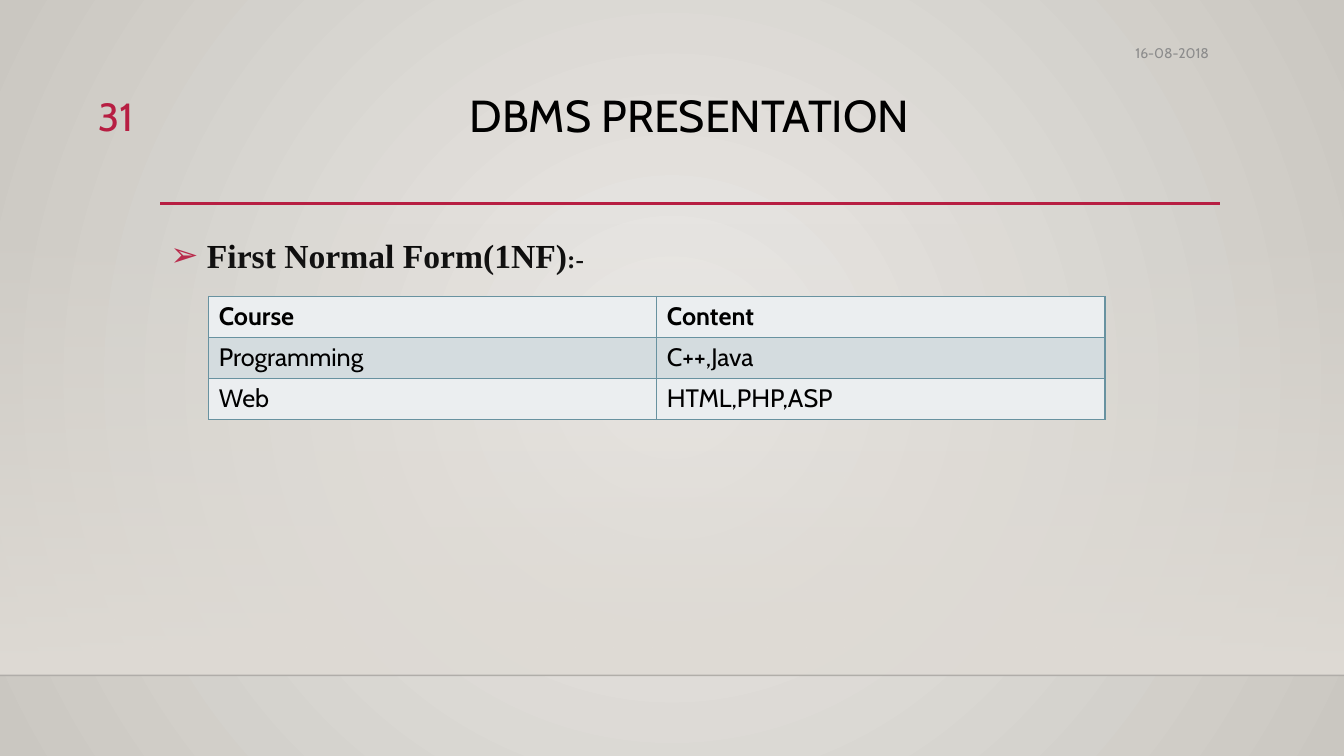
from lxml import etree
from pptx import Presentation
from pptx.dml.color import RGBColor
from pptx.enum.shapes import MSO_CONNECTOR, MSO_SHAPE
from pptx.enum.text import MSO_ANCHOR, MSO_AUTO_SIZE, PP_ALIGN
from pptx.oxml.ns import qn
from pptx.util import Inches, Pt

STRAIGHT = MSO_CONNECTOR.STRAIGHT
RECTANGLE = MSO_SHAPE.RECTANGLE
TOP, MIDDLE = MSO_ANCHOR.TOP, MSO_ANCHOR.MIDDLE
NO_FIT = MSO_AUTO_SIZE.NONE
LEFT, CENTER, RIGHT = PP_ALIGN.LEFT, PP_ALIGN.CENTER, PP_ALIGN.RIGHT

BLACK = RGBColor(0x00, 0x00, 0x00)
FLOOR_EDGE = RGBColor(0x00, 0x00, 0x01)
CRIMSON = RGBColor(0xB7, 0x1E, 0x42)
GRAY = RGBColor(0x8C, 0x8C, 0x8C)
BG_CENTER = RGBColor(0xEC, 0xEA, 0xE7)
BG_EDGE = RGBColor(0xCA, 0xC7, 0xC1)
WALL = RGBColor(0xDF, 0xDB, 0xD5)
BORDER = RGBColor(0x68, 0x92, 0xA0)
ROW_LIGHT = RGBColor(0xEB, 0xEE, 0xF0)
ROW_DARK = RGBColor(0xD4, 0xDC, 0xDF)


def set_gradient(fill, first, last):
    fill.gradient()
    for stop, color in zip(fill.gradient_stops, (first, last)):
        stop.color.rgb = color


def add_run(p, text, size, color, font="Cabin", bold=False):
    r = p.add_run()
    r.text = text
    r.font.size = Pt(size)
    r.font.name = font
    r.font.bold = bold
    r.font.color.rgb = color


prs = Presentation()
prs.slide_width = Inches(13.33)
prs.slide_height = Inches(7.5)
s = prs.slides.add_slide(prs.slide_layouts[1])

set_gradient(s.background.fill, BG_CENTER, BG_EDGE)
lin = next(s.element.iter(qn("a:lin")))
circle = etree.Element(qn("a:path"), path="circle")
etree.SubElement(circle, qn("a:fillToRect"), l="50000", t="50000", r="50000", b="50000")
lin.getparent().replace(lin, circle)

wall = s.shapes.add_shape(RECTANGLE, 0, Inches(2.21), prs.slide_width, Inches(4.49))
wall.shadow.inherit = False
wall.line.fill.background()
set_gradient(wall.fill, WALL, WALL)
wall.fill.gradient_angle = 270
clear_stop = next(wall.element.spPr.iter(qn("a:srgbClr")))
etree.SubElement(clear_stop, qn("a:alpha"), val="0")

for x1, x2, y, color, width, opacity in [
    (0, 13.33, 6.7, FLOOR_EDGE, 1, 20),
    (1.59, 12.1, 2.02, CRIMSON, 2.5, 100),
]:
    rule = s.shapes.add_connector(STRAIGHT, Inches(x1), Inches(y), Inches(x2), Inches(y))
    rule.line.color.rgb = color
    rule.line.width = Pt(width)
    spPr = rule.element.spPr
    etree.SubElement(spPr, qn("a:effectLst"))
    if opacity < 100:
        line_color = next(spPr.iter(qn("a:srgbClr")))
        etree.SubElement(line_color, qn("a:alpha"), val=str(opacity * 1000))

title = s.shapes.title
body = s.placeholders[1]
date = s.shapes.add_textbox(0, 0, 0, 0)
number = s.shapes.add_textbox(0, 0, 0, 0)

for sp, x, y, w, h, anchor, align in [
    (title, 1.59, 0.88, 10.5, 1.15, TOP, CENTER),
    (body, 1.59, 2.2, 10.5, 3.77, TOP, LEFT),
    (date, 8.26, 0.36, 3.83, 0.34, MIDDLE, RIGHT),
    (number, 0.53, 0.87, 0.89, 0.55, TOP, RIGHT),
]:
    sp.left, sp.top, sp.width, sp.height = Inches(x), Inches(y), Inches(w), Inches(h)
    tf = sp.text_frame
    tf.word_wrap = True
    tf.auto_size = NO_FIT
    tf.vertical_anchor = anchor
    tf.paragraphs[0].alignment = align

p = title.text_frame.paragraphs[0]
p.line_spacing = 0.9
add_run(p, "DBMS PRESENTATION", 32, BLACK)
add_run(date.text_frame.paragraphs[0], "16-08-2018", 10, GRAY)
add_run(number.text_frame.paragraphs[0], "31", 28, CRIMSON)

p = body.text_frame.paragraphs[0]
p.line_spacing = 1.2
p.space_before = Pt(10)
pPr = p._p.get_or_add_pPr()
pPr.set("marL", str(Inches(0.25)))
pPr.set("indent", str(Inches(-0.25)))
bullet_color = etree.SubElement(pPr, qn("a:buClr"))
etree.SubElement(bullet_color, qn("a:srgbClr"), val=str(CRIMSON))
etree.SubElement(pPr, qn("a:buChar"), char="➢")
add_run(p, " First Normal Form(1NF)", 24, BLACK, "Times New Roman", True)
add_run(p, ":-", 18, BLACK, "Times New Roman", True)

courses = [
    ("Course", "Content"),
    ("Programming", "C++,Java"),
    ("Web", "HTML,PHP,ASP"),
]
table = s.shapes.add_table(
    len(courses), 2, Inches(2.07), Inches(2.94), Inches(8.89), Inches(1.22)
).table
for i, row in enumerate(courses):
    for j, text in enumerate(row):
        cell = table.cell(i, j)
        add_run(cell.text_frame.paragraphs[0], text, 18, BLACK, bold=i == 0)
        tcPr = cell._tc.get_or_add_tcPr()
        for side in ("lnL", "lnR", "lnT", "lnB"):
            ln = etree.SubElement(tcPr, qn(f"a:{side}"), w=str(Pt(1)))
            solid = etree.SubElement(ln, qn("a:solidFill"))
            etree.SubElement(solid, qn("a:srgbClr"), val=str(BORDER))
        cell.fill.solid()
        cell.fill.fore_color.rgb = ROW_DARK if i % 2 else ROW_LIGHT

prs.save("out.pptx")
